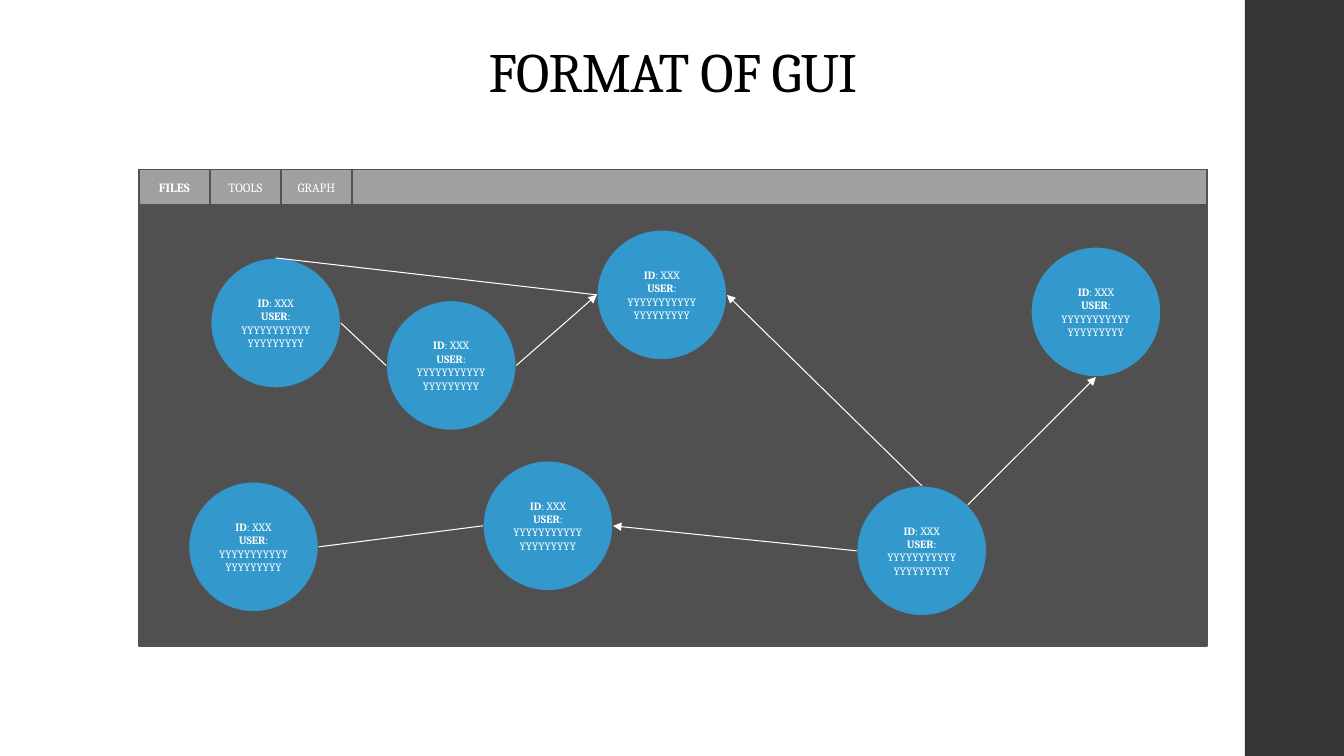
import math

from lxml import etree
from pptx import Presentation
from pptx import util as u
from pptx.dml.color import RGBColor
from pptx.enum import shapes, text
from pptx.oxml import ns

FONT = "Cambria"
COLORS = {
    "sidebar": "353537", "title": "000000", "canvas": "505050", "menu": "A0A0A0",
    "outline": "525256", "node": "3399CC", "light": "FFFFFF",
}
PANEL_LEFT, PANEL_TOP, PANEL_WIDTH, PANEL_HEIGHT = 3.5, 4.27, 26.92, 12.01
MENU_HEIGHT, TAB_WIDTH = 0.89, 1.79
DIAMETER = 3.28

# Left and top of every circle, in centimetres
NODES = {
    "upper left": (5.31, 6.5), "upper inner": (9.73, 7.57),
    "lower left": (4.75, 12.14), "lower middle": (12.17, 11.61),
    "upper middle": (15.04, 5.79), "lower right": (21.59, 12.24),
    "upper right": (25.98, 6.22),
}
# Directions on a circle, in degrees clockwise from the right
RIGHT, BOTTOM, LEFT, TOP, TOP_RIGHT = 0, 90, 180, 270, 315
# Start node and side, end node and side, arrowhead
LINKS = [
    ("upper left", TOP, "upper middle", LEFT, False),
    ("upper left", RIGHT, "upper inner", LEFT, False),
    ("lower right", TOP_RIGHT, "upper right", BOTTOM, True),
    ("lower right", LEFT, "lower middle", RIGHT, True),
    ("lower right", TOP, "upper middle", RIGHT, True),
    ("upper inner", RIGHT, "upper middle", LEFT, True),
    ("lower left", RIGHT, "lower middle", LEFT, False),
]


def color(name):
    """Return the named colour."""
    return RGBColor.from_string(COLORS[name])


def format_run(run, size, color_name, bold=False):
    """Set the font of one run."""
    run.font.name = FONT
    run.font.size = u.Pt(size)
    run.font.bold = bold
    run.font.color.rgb = color(color_name)


def add_box(slide, kind, left, top, width, height, fill=None, outline="outline"):
    """Add a preset shape with an optional fill and outline."""
    shape = slide.shapes.add_shape(kind, u.Cm(left), u.Cm(top), u.Cm(width), u.Cm(height))
    shape.shadow.inherit = False
    if fill:
        shape.fill.solid()
        shape.fill.fore_color.rgb = color(fill)
    else:
        shape.fill.background()
    if outline:
        shape.line.color.rgb = color(outline)
        shape.line.width = u.Pt(1.1)
    else:
        shape.line.fill.background()
    return shape


def add_title(slide, title):
    """Add the centred slide title."""
    box = slide.shapes.add_textbox(
        u.Cm(PANEL_LEFT), u.Cm(1.02), u.Cm(PANEL_WIDTH), u.Cm(1.75))
    frame = box.text_frame
    frame.word_wrap = True
    frame.vertical_anchor = text.MSO_ANCHOR.BOTTOM
    frame.text = title
    paragraph = frame.paragraphs[0]
    paragraph.alignment = text.PP_ALIGN.CENTER
    paragraph.line_spacing = 0.9
    run = paragraph.runs[0]
    format_run(run, 39.6, "title")
    run.font._element.set("spc", "-50")


def add_tab(slide, index, label):
    """Add one menu tab; the first one is active and bold."""
    tab = add_box(slide, shapes.MSO_SHAPE.RECTANGLE, PANEL_LEFT + index * TAB_WIDTH,
                  PANEL_TOP, TAB_WIDTH, MENU_HEIGHT)
    tab.text_frame.text = label
    tab.text_frame.vertical_anchor = text.MSO_ANCHOR.MIDDLE
    paragraph = tab.text_frame.paragraphs[0]
    paragraph.alignment = text.PP_ALIGN.CENTER
    format_run(paragraph.runs[0], 9, "light", bold=index == 0)


def add_node(slide, left, top):
    """Add a graph node with its ID and user."""
    node = add_box(slide, shapes.MSO_SHAPE.OVAL, left, top, DIAMETER, DIAMETER, "node")
    node.text_frame.vertical_anchor = text.MSO_ANCHOR.MIDDLE
    paragraph = node.text_frame.paragraphs[0]
    paragraph.alignment = text.PP_ALIGN.CENTER
    for index, (label, value) in enumerate([("ID", "XXX"), ("USER", "Y" * 20)]):
        if index:
            paragraph.add_line_break()
        for words, bold in [(label, True), (f": {value}", False)]:
            run = paragraph.add_run()
            run.text = words
            format_run(run, 8, "light", bold)


def edge_point(node_name, angle):
    """Return the point on a node's edge in the given direction."""
    left, top = NODES[node_name]
    radius = DIAMETER / 2
    return (u.Cm(left + radius + radius * math.cos(math.radians(angle))),
            u.Cm(top + radius + radius * math.sin(math.radians(angle))))


def add_link(slide, start, start_side, end, end_side, arrow):
    """Join two nodes by a straight line, with an arrowhead if asked."""
    link = slide.shapes.add_connector(
        shapes.MSO_CONNECTOR.STRAIGHT,
        *edge_point(start, start_side), *edge_point(end, end_side))
    link.line.color.rgb = color("light")
    link.line.width = u.Pt(0.75)
    if arrow:
        line = link.line._get_or_add_ln()
        etree.SubElement(line, ns.qn("a:tailEnd"), type="triangle")
    etree.SubElement(link._element.spPr, ns.qn("a:effectLst"))


def main():
    """Build the slide and save it."""
    presentation = Presentation()
    presentation.slide_width = u.Cm(33.87)
    presentation.slide_height = u.Cm(19.05)
    slide = presentation.slides.add_slide(presentation.slide_layouts[6])
    rectangle = shapes.MSO_SHAPE.RECTANGLE

    add_box(slide, rectangle, 31.37, 0, 2.5, 19.05, "sidebar", outline=None)
    add_title(slide, "FORMAT OF GUI")
    for height, fill in [(PANEL_HEIGHT, "canvas"), (MENU_HEIGHT, "menu")]:
        add_box(slide, rectangle, PANEL_LEFT, PANEL_TOP, PANEL_WIDTH, height, fill)
    for index, label in enumerate(["FILES", "TOOLS", "GRAPH"]):
        add_tab(slide, index, label)
    for left, top in NODES.values():
        add_node(slide, left, top)
    for link in LINKS:
        add_link(slide, *link)

    presentation.save("out.pptx")


main()
